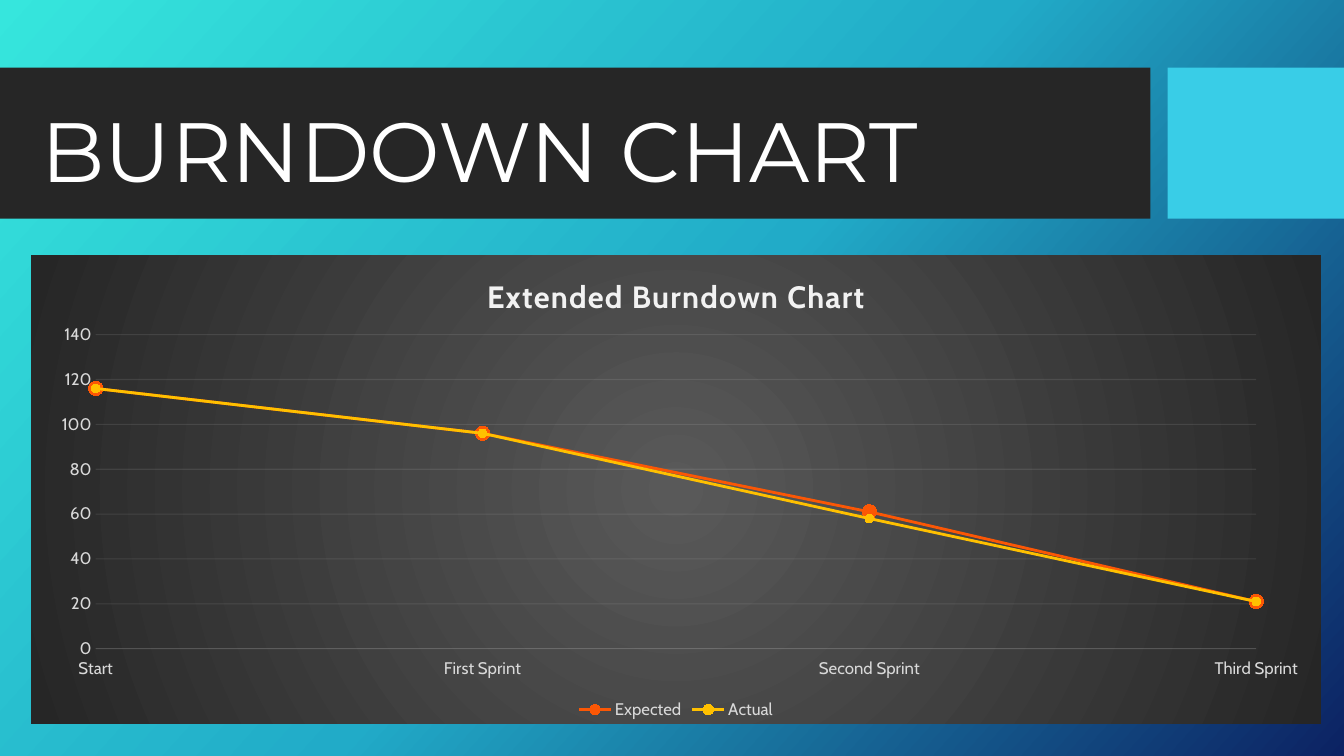
"""Build the burndown chart slide."""
from lxml import etree
from pptx import Presentation
from pptx import util as u
from pptx.chart import data
from pptx.dml.color import RGBColor
from pptx.enum import chart as ec, shapes, text
from pptx.oxml import parse_xml
from pptx.oxml.ns import nsdecls, qn

COLORS = {
    "dark": "262626", "cyan": "39CDE7", "white": "FFFFFF", "pale": "F2F2F2",
    "label": "D9D9D9", "glow": "595959", "aqua": "36E6DD", "teal": "21ABC8",
    "navy": "0C2263", "orange": "FB5705", "yellow": "FFC000",
}


def write_text(tf, content, size, font, color, bold=False, spacing=0, line=None):
    p = tf.paragraphs[0]
    if line:
        p.line_spacing = line
    r = p.add_run()
    r.text = content
    r.font.size, r.font.name, r.font.bold = u.Pt(size), font, bold
    r.font.color.rgb = RGBColor.from_string(COLORS[color])
    r.font._element.set("spc", str(spacing))


def gradient(stops, shade):
    gs = "".join(f'<a:gs pos="{pos * 1000}"><a:srgbClr val="{COLORS[name]}"/></a:gs>'
                 for pos, name in stops)
    return parse_xml(f'<a:gradFill {nsdecls("a")} rotWithShape="1">'
                     f'<a:gsLst>{gs}</a:gsLst>{shade}</a:gradFill>')


prs = Presentation()
prs.slide_width, prs.slide_height = u.Inches(13.33), u.Inches(7.5)
s = prs.slides.add_slide(prs.slide_layouts[6])

s.background.fill.gradient()
old = s.element.find(".//" + qn("a:gradFill"))
old.getparent().replace(old, gradient(
    [(0, "aqua"), (50, "teal"), (100, "navy")], f'<a:lin ang="{42 * 60000}" scaled="0"/>'))

for left, width, color in [(0, 11.41, "dark"), (11.58, 1.75, "cyan")]:
    sp = s.shapes.add_shape(shapes.MSO_SHAPE.RECTANGLE, u.Inches(left), u.Inches(0.67),
                            u.Inches(width), u.Inches(1.5))
    sp.shadow.inherit = False
    sp.fill.solid()
    sp.fill.fore_color.rgb = RGBColor.from_string(COLORS[color])
    sp.line.fill.background()

title = s.shapes.add_textbox(u.Inches(0.31), u.Inches(0.95), u.Inches(10.51), u.Inches(1.18))
tf = title.text_frame
tf.word_wrap = True
tf.vertical_anchor = text.MSO_ANCHOR.MIDDLE
write_text(tf, "BURNDOWN CHART", 60, "Montserrat", "white", line=0.9)

burndown = data.CategoryChartData()
burndown.categories = ["Start", "First Sprint", "Second Sprint", "Third Sprint"]
burndown.add_series("Expected", [116, 96, 61, 21])
burndown.add_series("Actual", [116, 96, 58, 21])
chart = s.shapes.add_chart(ec.XL_CHART_TYPE.LINE_MARKERS, u.Inches(0.31), u.Inches(2.53),
                           u.Inches(12.79), u.Inches(4.65), burndown).chart
chart.font.size, chart.font.name = u.Pt(10), "Cabin"
chart.font.color.rgb = RGBColor.from_string(COLORS["white"])
write_text(chart.chart_title.text_frame, "Extended Burndown Chart", 22, "Cabin", "pale",
           bold=True, spacing=100)
chart.chart_title.include_in_layout = False

chart.has_legend = True
chart.legend.position = ec.XL_LEGEND_POSITION.BOTTOM
chart.legend.include_in_layout = False

cat_axis, val_axis = chart.category_axis, chart.value_axis
cat_axis.tick_label_position = ec.XL_TICK_LABEL_POSITION.LOW
val_axis.minimum_scale, val_axis.maximum_scale, val_axis.major_unit = 0, 140, 20
val_axis.format.line.fill.background()
for axis in (cat_axis, val_axis):
    axis.major_tick_mark = axis.minor_tick_mark = ec.XL_TICK_MARK.NONE
for font in (cat_axis.tick_labels.font, val_axis.tick_labels.font, chart.legend.font):
    font.size, font.name = u.Pt(12), "Cabin"
    font.color.rgb = RGBColor.from_string(COLORS["label"])
for line in (cat_axis.format.line, val_axis.major_gridlines.format.line):
    line.width = u.Pt(0.75)
    line.color.rgb = RGBColor.from_string(COLORS["pale"])
for rule in chart.element.iter(qn("a:ln")):
    for clr in rule.iter(qn("a:srgbClr")):
        etree.SubElement(clr, qn("a:alpha")).set("val", "10000")
chart.element.find(".//" + qn("c:majorUnit")).addprevious(
    parse_xml(f'<c:crossBetween {nsdecls("c")} val="midCat"/>'))

plot = chart.plots[0]
plot.vary_by_categories = False
for series, color, size in zip(plot.series, ("orange", "yellow"), (10, 6)):
    rgb = RGBColor.from_string(COLORS[color])
    series.smooth = False
    series.format.line.width = u.Pt(2)
    series.format.line.color.rgb = rgb
    series.marker.style = ec.XL_MARKER_STYLE.CIRCLE
    series.marker.size = size
    series.marker.format.fill.solid()
    series.marker.format.fill.fore_color.rgb = rgb
    series.marker.format.line.color.rgb = rgb

area = parse_xml(f'<c:spPr {nsdecls("c", "a")}><a:ln><a:noFill/></a:ln></c:spPr>')
area.insert(0, gradient(
    [(0, "glow"), (100, "dark")],
    '<a:path path="circle"><a:fillToRect l="50000" t="50000" r="50000" b="50000"/></a:path>'))
chart.element.find(qn("c:chart")).addnext(area)

plot_area = chart.element.find(".//" + qn("c:plotArea"))
for layout in plot_area.findall(qn("c:layout")):
    plot_area.remove(layout)
frame = "".join(f'<c:{key} val="{val}"/>' for key, val in [
    ("layoutTarget", "inner"), ("xMode", "edge"), ("yMode", "edge"),
    ("x", 0.05), ("y", 0.17), ("w", 0.9), ("h", 0.67)])
plot_area.insert(0, parse_xml(
    f'<c:layout {nsdecls("c")}><c:manualLayout>{frame}</c:manualLayout></c:layout>'))

prs.save("out.pptx")
